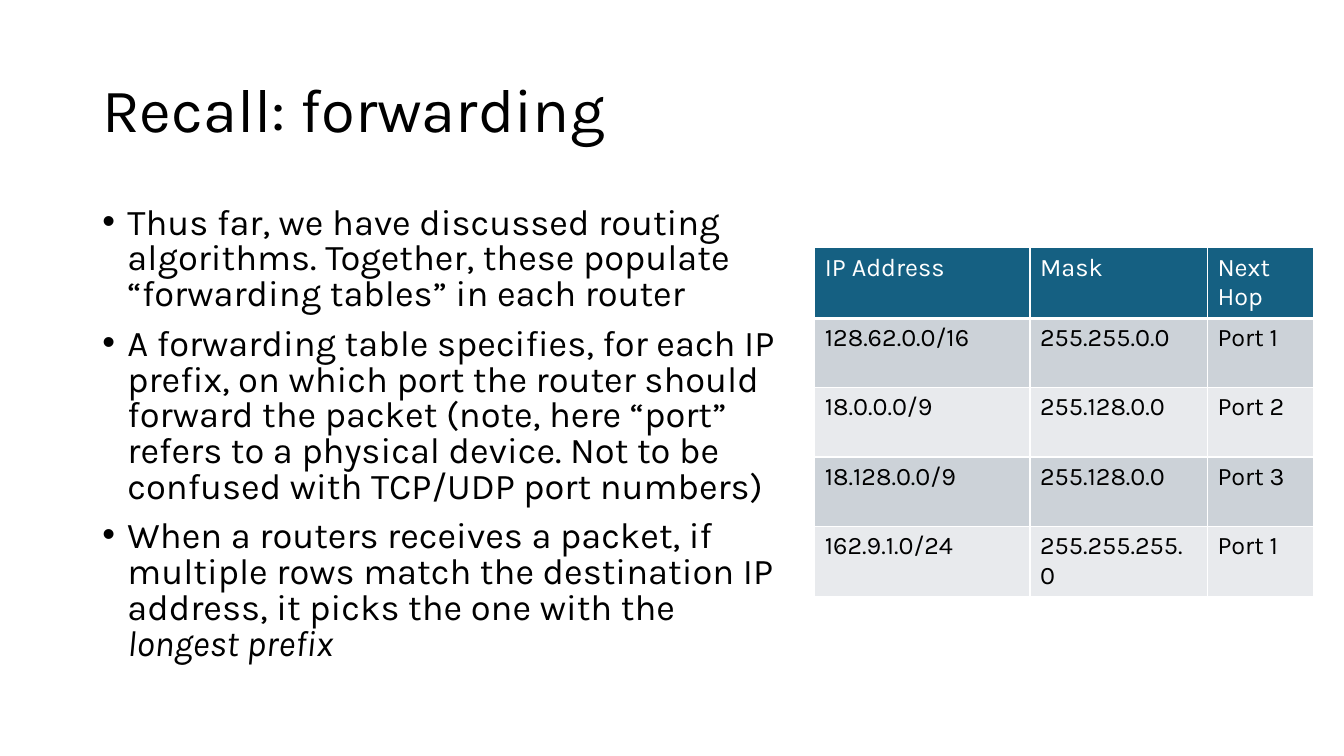
import dataclasses

import pptx
import pptx.dml.color
import pptx.enum.text
import pptx.oxml
import pptx.oxml.ns
import pptx.util


@dataclasses.dataclass(frozen=True)
class Theme:
    font: str = "Karla"
    ink: str = "000000"
    paper: str = "FFFFFF"
    header: str = "156082"
    bands: tuple = ("CCD2D8", "E8EAED")
    title_size: float = 44
    body_size: float = 25.9
    table_size: float = 18


class ForwardingSlide:
    """Draws titles, bullets and tables on one slide in one theme."""

    def __init__(self, slide, theme):
        self.slide = slide
        self.theme = theme

    def px(self, length):
        return pptx.util.Emu(length * 9525)

    def color(self, code):
        return pptx.dml.color.RGBColor.from_string(code)

    def add_run(self, paragraph, words, size, color, italic=None):
        run = paragraph.add_run()
        run.text = words
        run.font.name = self.theme.font
        run.font.size = pptx.util.Pt(size)
        run.font.color.rgb = self.color(color)
        run.font.bold = False
        run.font.italic = italic

    def text_frame(self, *box):
        frame = self.slide.shapes.add_textbox(*map(self.px, box)).text_frame
        frame.word_wrap = True
        return frame

    def title(self, words, *box):
        frame = self.text_frame(*box)
        frame.vertical_anchor = pptx.enum.text.MSO_ANCHOR.MIDDLE
        heading = frame.paragraphs[0]
        heading.line_spacing = 0.9
        self.add_run(heading, words, self.theme.title_size, self.theme.ink)

    def bullets(self, points, *box):
        frame = self.text_frame(*box)
        for index, runs in enumerate(points):
            point = frame.add_paragraph() if index else frame.paragraphs[0]
            point.line_spacing = 0.82
            point.space_before = pptx.util.Pt(10)
            properties = point._p.get_or_add_pPr()
            properties.set("marL", str(self.px(24)))
            properties.set("indent", str(self.px(-24)))
            for tag, name, value in (("buFont", "typeface", "Arial"), ("buChar", "char", "•")):
                bullet = pptx.oxml.parse_xml(f'<a:{tag} {pptx.oxml.ns.nsdecls("a")} {name}="{value}"/>')
                properties.append(bullet)
            for words, italic in runs:
                self.add_run(point, words, self.theme.body_size, self.theme.ink, italic)

    def cell_borders(self, cell, bottom):
        properties = cell._tc.get_or_add_tcPr()
        for position, (side, width) in enumerate((("L", 1), ("R", 1), ("T", 1), ("B", bottom))):
            border = pptx.oxml.parse_xml(
                f'<a:ln{side} {pptx.oxml.ns.nsdecls("a")} w="{pptx.util.Pt(width)}"><a:solidFill>'
                f'<a:srgbClr val="{self.theme.paper}"/></a:solidFill></a:ln{side}>')
            properties.insert(position, border)

    def table(self, rows, left, top, widths, row_height):
        box = map(self.px, (left, top, sum(widths), row_height * len(rows)))
        grid = self.slide.shapes.add_table(len(rows), len(widths), *box).table
        for column, width in zip(grid.columns, widths):
            column.width = self.px(width)
        for r, row in enumerate(rows):
            grid.rows[r].height = self.px(row_height)
            fill = self.theme.bands[(r - 1) % 2] if r else self.theme.header
            ink = self.theme.ink if r else self.theme.paper
            for c, words in enumerate(row):
                cell = grid.cell(r, c)
                cell.fill.solid()
                cell.fill.fore_color.rgb = self.color(fill)
                self.cell_borders(cell, 1 if r else 3)
                self.add_run(cell.text_frame.paragraphs[0], words, self.theme.table_size, ink)


def main():
    deck = pptx.Presentation()
    deck.slide_width = pptx.util.Emu(1280 * 9525)
    deck.slide_height = pptx.util.Emu(720 * 9525)
    page = ForwardingSlide(deck.slides.add_slide(deck.slide_layouts[6]), Theme())

    page.title("Recall: forwarding", 88, 38, 1104, 139)
    page.bullets([
        [("Thus far, we have discussed routing algorithms. Together, these populate "
          "“forwarding tables” in each router", None)],
        [("A forwarding table specifies, for each IP prefix, on which port the router should "
          "forward the packet (note, here “port” refers to a physical device. Not to be "
          "confused with TCP/UDP port numbers)", None)],
        [("When a routers receives a packet, if multiple rows match the destination IP "
          "address, it picks the one with the ", None), ("longest prefix", True)],
    ], 88, 192, 663, 457)
    page.table([
        ("IP Address", "Mask", "Next Hop"),
        ("128.62.0.0/16", "255.255.0.0", "Port 1"),
        ("18.0.0.0/9", "255.128.0.0", "Port 2"),
        ("18.128.0.0/9", "255.128.0.0", "Port 3"),
        ("162.9.1.0/24", "255.255.255.0", "Port 1"),
    ], 776, 236, (205, 169, 101), 66)
    deck.save("out.pptx")


if __name__ == "__main__":
    main()
